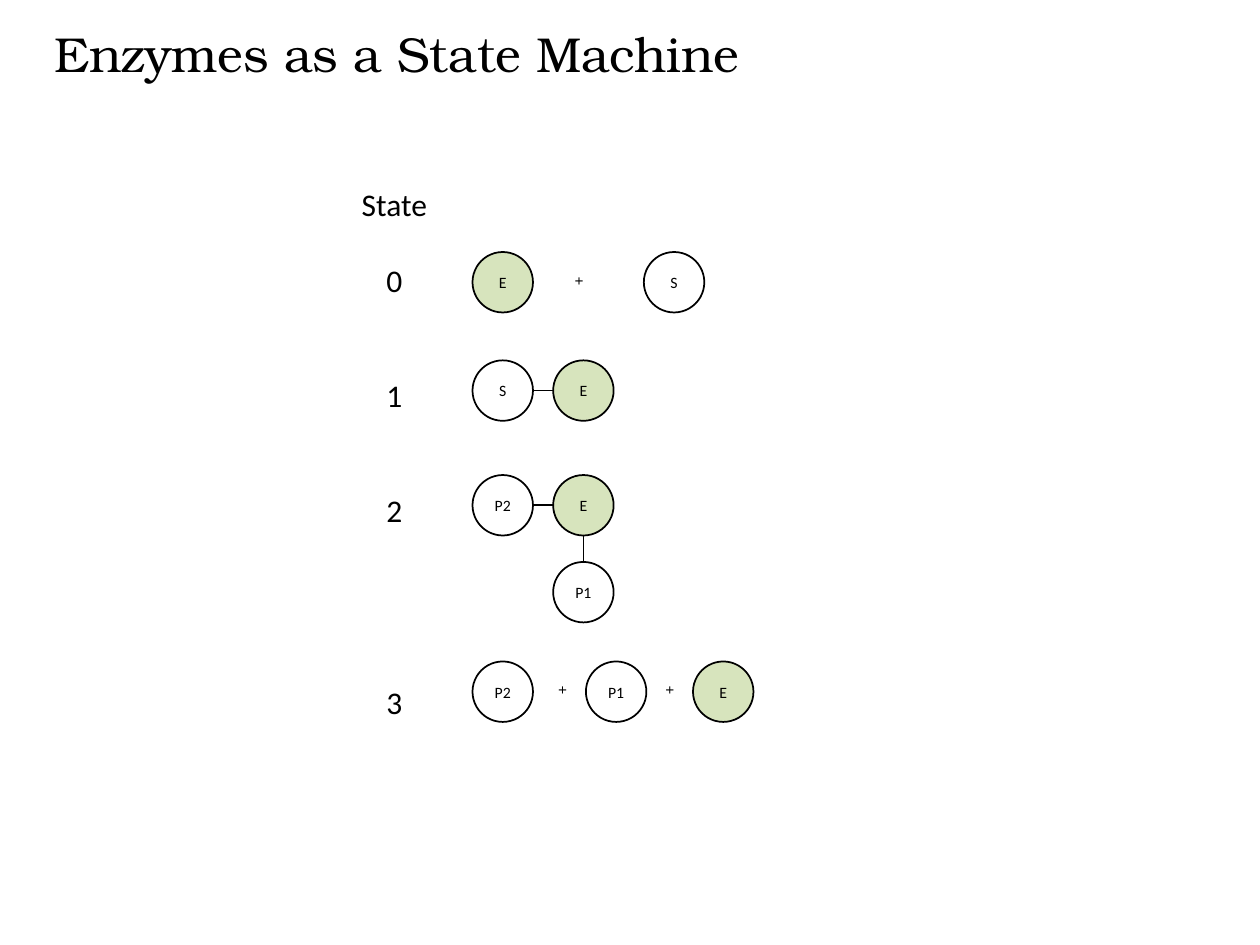
from lxml.etree import SubElement
from pptx import Presentation
from pptx.dml.color import RGBColor
from pptx.enum.shapes import MSO_CONNECTOR, MSO_SHAPE
from pptx.enum.text import MSO_ANCHOR, MSO_AUTO_SIZE, PP_ALIGN
from pptx.oxml.ns import qn
from pptx.util import Inches, Pt

BLACK, WHITE, GREEN = "000000", "FFFFFF", "D7E4BD"
SIZE = 0.48
LEFT, BOUND = 3.75, 4.39
FREE, JOINED, SPLIT, RELEASED = 2, 2.86, 3.77, 5.25
P1_TOP = 4.46


def rgb(color):
    """Turn a hex string into a colour."""
    return RGBColor.from_string(color)


def add_run(p, text, size, font="Calibri"):
    """Add one formatted run to a paragraph."""
    r = p.add_run()
    r.text = text
    r.font.size = Pt(size)
    r.font.name = font
    r.font.color.rgb = rgb(BLACK)


def add_title(s, text):
    """Place and format the slide title."""
    sp = s.shapes.title
    sp.left, sp.top = Inches(0.33), Inches(0.14)
    sp.width, sp.height = Inches(9.42), Inches(0.57)
    tf = sp.text_frame
    tf.auto_size = MSO_AUTO_SIZE.NONE
    tf.vertical_anchor = MSO_ANCHOR.TOP
    p = tf.paragraphs[0]
    p.alignment = PP_ALIGN.LEFT
    add_run(p, text, 28, "TeX Gyre Bonum")


def add_molecule(s, label, left, top):
    """Draw a labelled molecule, green when it is the enzyme."""
    sp = s.shapes.add_shape(MSO_SHAPE.OVAL, Inches(left), Inches(top),
                            Inches(SIZE), Inches(SIZE))
    sp.shadow.inherit = False
    sp.fill.solid()
    sp.fill.fore_color.rgb = rgb(GREEN if label == "E" else WHITE)
    sp.line.color.rgb = rgb(BLACK)
    sp.line.width = Pt(1)
    tf = sp.text_frame
    tf.word_wrap = False
    tf.vertical_anchor = MSO_ANCHOR.MIDDLE
    p = tf.paragraphs[0]
    p.alignment = PP_ALIGN.CENTER
    add_run(p, label, 9)


def add_plus(s, left, top):
    """Add a turned plus sign level with a row of molecules."""
    sp = s.shapes.add_textbox(Inches(left), Inches(top + 0.11),
                              Inches(0.27), Inches(0.25))
    sp.rotation = 90
    tf = sp.text_frame
    tf.word_wrap = False
    tf.auto_size = MSO_AUTO_SIZE.SHAPE_TO_FIT_TEXT
    add_run(tf.paragraphs[0], "+", 9)


def add_bond(s, x1, y1, x2, y2):
    """Draw a straight bond between two molecules."""
    line = s.shapes.add_connector(MSO_CONNECTOR.STRAIGHT, Inches(x1), Inches(y1),
                                  Inches(x2), Inches(y2))
    line.line.color.rgb = rgb(BLACK)
    line.line.width = Pt(1)
    SubElement(line._element.spPr, qn("a:effectLst"))


def add_states(s, rows):
    """Add the state column from pairs of label and space before."""
    sp = s.shapes.add_textbox(Inches(2.67), Inches(1.42), Inches(0.92), Inches(4.34))
    tf = sp.text_frame
    tf.word_wrap = True
    for i, (label, gap) in enumerate(rows):
        p = tf.add_paragraph() if i else tf.paragraphs[0]
        p.alignment = PP_ALIGN.CENTER
        p.space_before = Pt(gap)
        add_run(p, label, 18)


def main():
    """Build the slide and save it."""
    prs = Presentation()
    prs.slide_width, prs.slide_height = Inches(10), Inches(7.5)
    s = prs.slides.add_slide(prs.slide_layouts[5])
    add_title(s, "Enzymes as a State Machine")
    add_states(s, [("State", 0), ("0", 22), ("1", 44), ("2", 44), ("3", 88)])

    for label, left, top in [
        ("E", LEFT, FREE), ("S", 5.11, FREE),
        ("S", LEFT, JOINED), ("E", BOUND, JOINED),
        ("P2", LEFT, SPLIT), ("E", BOUND, SPLIT), ("P1", BOUND, P1_TOP),
        ("P2", LEFT, RELEASED), ("P1", 4.65, RELEASED), ("E", 5.5, RELEASED),
    ]:
        add_molecule(s, label, left, top)

    for left, top in [(4.47, FREE), (4.34, RELEASED), (5.19, RELEASED)]:
        add_plus(s, left, top)

    for top in (JOINED, SPLIT):
        middle = top + SIZE / 2
        add_bond(s, BOUND, middle, LEFT + SIZE, middle)
    center = BOUND + SIZE / 2
    add_bond(s, center, P1_TOP, center, SPLIT + SIZE)

    prs.save("out.pptx")


if __name__ == "__main__":
    main()
